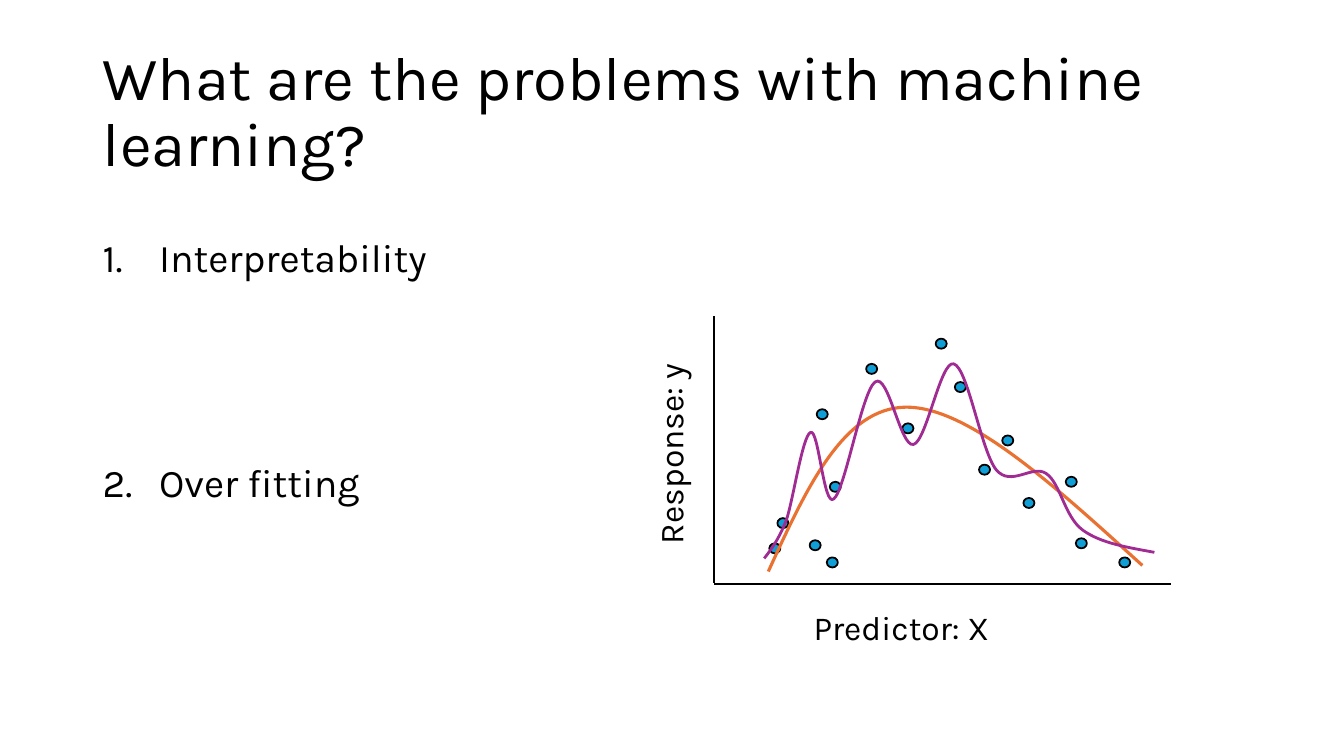
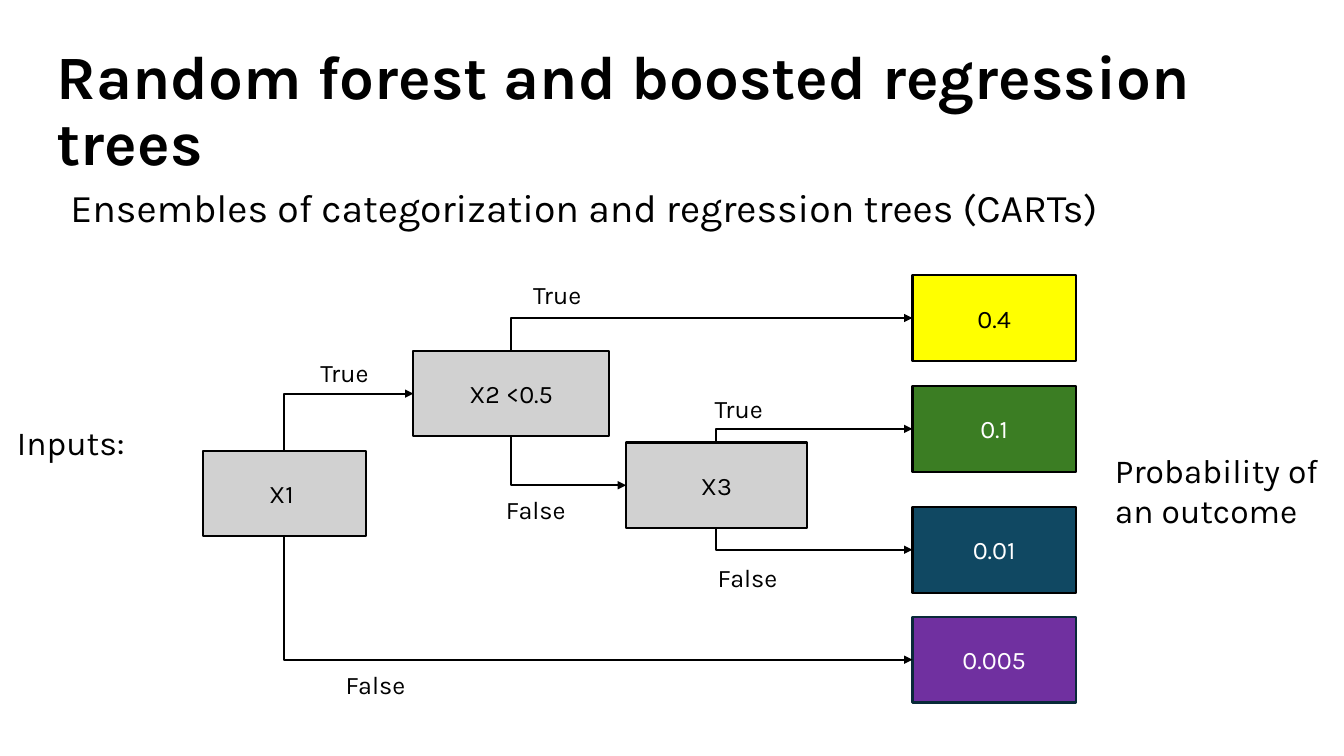
from lxml.etree import SubElement
from pptx import Presentation
from pptx.dml.color import RGBColor
from pptx.enum.shapes import MSO_CONNECTOR, MSO_SHAPE
from pptx.enum.text import MSO_ANCHOR, MSO_AUTO_SIZE, PP_ALIGN
from pptx.oxml.ns import qn
from pptx.util import Pt

PX = 9144  # EMU per px, 100 px to the inch
FONT = "Karla"
TITLE_SIZE, BODY_SIZE, LABEL_SIZE, SMALL_SIZE = 44, 28, 24, 18

BLACK = RGBColor(0x00, 0x00, 0x00)
WHITE = RGBColor(0xFF, 0xFF, 0xFF)
GREY = RGBColor(0xD1, 0xD1, 0xD1)
BLUE = RGBColor(0x0F, 0x9E, 0xD5)
ORANGE = RGBColor(0xE9, 0x71, 0x32)
MAGENTA = RGBColor(0xA0, 0x2B, 0x93)
YELLOW = RGBColor(0xFF, 0xFF, 0x00)
GREEN = RGBColor(0x3B, 0x7D, 0x23)
TEAL = RGBColor(0x10, 0x48, 0x62)
PURPLE = RGBColor(0x70, 0x30, 0xA0)
NAVY = RGBColor(0x09, 0x2A, 0x39)


def px(*lengths):
    return [n * PX for n in lengths]


class Deck:
    """Holds the shared style and the current slide."""

    def __init__(self):
        self.prs = Presentation()
        self.prs.slide_width, self.prs.slide_height = px(1333, 750)
        self.s = None

    def style(self, tf, size, color=BLACK, bold=False):
        for p in tf.paragraphs:
            for r in p.runs:
                r.font.name, r.font.size, r.font.bold = FONT, Pt(size), bold
                r.font.color.rgb = color

    def outline(self, sp, color, width):
        sp.line.color.rgb = color
        sp.line.width = Pt(width)

    def slide(self, title, x, y, w, h, bold=False):
        self.s = self.prs.slides.add_slide(self.prs.slide_layouts[5])
        sp = self.s.shapes.title
        sp.left, sp.top, sp.width, sp.height = px(x, y, w, h)
        tf = sp.text_frame
        tf.text = title
        tf.auto_size = MSO_AUTO_SIZE.NONE
        tf.vertical_anchor = MSO_ANCHOR.MIDDLE
        p = tf.paragraphs[0]
        p.alignment, p.line_spacing = PP_ALIGN.LEFT, 0.9
        self.style(tf, TITLE_SIZE, bold=bold)

    def text(self, text, x, y, w, h, size, rotation=0):
        sp = self.s.shapes.add_textbox(*px(x, y, w, h))
        sp.rotation = rotation
        tf = sp.text_frame
        tf.word_wrap = True
        tf.text = text
        self.style(tf, size)
        return tf

    def body(self, items, x, y, w, h, gap=10, numbered=False):
        tf = self.text("\n".join(items), x, y, w, h, BODY_SIZE)
        for i, p in enumerate(tf.paragraphs):
            p.line_spacing = 0.9
            p.space_before = Pt(gap if i else 10)
            if numbered:
                pPr = p._p.get_or_add_pPr()
                indent, = px(56)
                pPr.set("marL", str(indent))
                pPr.set("indent", str(-indent))
                SubElement(pPr, qn("a:buFont"), typeface="+mj-lt")
                SubElement(pPr, qn("a:buAutoNum"), type="arabicPeriod")

    def shape(self, kind, x, y, w, h, fill, line=BLACK, width=1.5):
        sp = self.s.shapes.add_shape(kind, *px(x, y, w, h))
        sp.shadow.inherit = False
        sp.fill.solid()
        sp.fill.fore_color.rgb = fill
        self.outline(sp, line, width)
        return sp

    def box(self, text, x, y, w, fill, color=BLACK, line=BLACK):
        sp = self.shape(MSO_SHAPE.RECTANGLE, x, y, w, 85, fill, line)
        tf = sp.text_frame
        tf.text = text
        tf.vertical_anchor = MSO_ANCHOR.MIDDLE
        tf.paragraphs[0].alignment = PP_ALIGN.CENTER
        self.style(tf, SMALL_SIZE, color)
        return sp

    def line(self, x1, y1, x2, y2, kind=MSO_CONNECTOR.STRAIGHT):
        sp = self.s.shapes.add_connector(kind, *px(x1, y1, x2, y2))
        self.outline(sp, BLACK, 1.5)
        SubElement(sp._element.spPr, qn("a:effectLst"))
        return sp

    def branch(self, parent, child, site):
        """One-bend arrow from the parent's top (0) or bottom (2) to the child's left."""
        sp = self.line(0, 0, 1, 1, MSO_CONNECTOR.ELBOW)
        sp.begin_connect(child, 1)
        sp.end_connect(parent, site)
        spPr = sp._element.spPr
        spPr.find(qn("a:prstGeom")).set("prst", "bentConnector2")
        SubElement(spPr.find(qn("a:ln")), qn("a:headEnd"), type="triangle")

    def curve(self, points, color, width):
        """Smooth line through a start point and triples of Bezier points."""
        start, *rest = [px(*point) for point in points]
        fb = self.s.shapes.build_freeform(*start, scale=1.0)
        fb.add_line_segments(rest, close=False)
        sp = fb.convert_to_shape()
        sp.shadow.inherit = False
        sp.fill.background()
        self.outline(sp, color, width)
        # Turn each three straight segments into one cubic segment
        path = next(sp._element.iter(qn("a:path")))
        for i, segment in enumerate(path.findall(qn("a:lnTo"))):
            if i % 3 == 0:
                cubic = SubElement(path, qn("a:cubicBezTo"))
            cubic.append(segment[0])
            path.remove(segment)


def overfitting(deck):
    deck.slide("What are the problems with machine learning?", 92, 40, 1173, 145)
    deck.body(["Interpretability", "Over fitting"], 92, 232, 1150, 476,
              gap=130, numbered=True)

    # Axes
    deck.line(708, 314, 708, 578)
    deck.line(1161, 579, 708, 579)
    deck.text("Predictor: X", 797, 597, 275, 50, LABEL_SIZE)
    deck.text("Response: y", 535, 395, 259, 50, LABEL_SIZE, rotation=270)

    # Observations
    for x, y in [(763, 539), (771, 514), (803, 536), (810, 406), (823, 478),
                 (1110, 553), (895, 420), (859, 361), (971, 461), (928, 336),
                 (947, 379), (994, 432), (1015, 494), (1057, 473),
                 (1067, 534), (820, 553)]:
        deck.shape(MSO_SHAPE.OVAL, x, y, 11, 10, BLUE, width=1.25)

    # Smooth fit and over-fitted curve
    deck.curve([(762, 567), (799, 486), (836, 405), (898, 404),
                (960, 403), (1046, 482), (1133, 561)], ORANGE, 2.25)
    deck.curve([(758, 554), (765, 545), (772, 536), (780, 516),
                (787, 495), (796, 432), (804, 429),
                (812, 425), (817, 504), (827, 495),
                (838, 487), (855, 388), (868, 379),
                (881, 369), (893, 444), (906, 441),
                (919, 438), (933, 357), (946, 361),
                (960, 365), (973, 447), (988, 466),
                (1003, 484), (1024, 460), (1038, 470),
                (1052, 480), (1056, 513), (1074, 526),
                (1092, 539), (1118, 543), (1145, 548)], MAGENTA, 2)


def regression_tree(deck):
    deck.slide("Random forest and boosted regression trees", 46, 39, 1242, 145,
               bold=True)
    deck.body(["Ensembles of categorization and regression trees (CARTs)"],
              60, 182, 1150, 528)

    # Decision nodes
    x1 = deck.box("X1 ", 201, 447, 162, GREY)
    x2 = deck.box("X2 <0.5", 410, 348, 194, GREY)
    x3 = deck.box("X3", 621, 439, 179, GREY)

    # Outcomes
    outcomes = [("0.4", 273, YELLOW, BLACK, BLACK),
                ("0.1", 383, GREEN, WHITE, BLACK),
                ("0.01", 503, TEAL, WHITE, BLACK),
                ("0.005", 612, PURPLE, WHITE, NAVY)]
    high, medium, low, lowest = [
        deck.box(text, 905, y, 162, fill, color, line)
        for text, y, fill, color, line in outcomes]

    # Branches: true leaves from the top, false from the bottom
    for parent, if_true, if_false in [(x1, x2, lowest), (x2, high, x3),
                                      (x3, medium, low)]:
        deck.branch(parent, if_true, 0)
        deck.branch(parent, if_false, 2)

    # Labels
    for text, x, y in [("True", 308, 350), ("False", 333, 659),
                       ("True", 519, 272), ("False", 492, 485),
                       ("True", 699, 385), ("False", 702, 553)]:
        deck.text(text, x, y, 110, 40, SMALL_SIZE)
    deck.text("Inputs:", 7, 414, 135, 50, LABEL_SIZE)
    deck.text("Probability of an outcome", 1096, 441, 250, 91, LABEL_SIZE)


def main():
    deck = Deck()
    overfitting(deck)
    regression_tree(deck)
    deck.prs.save("out.pptx")


if __name__ == "__main__":
    main()
